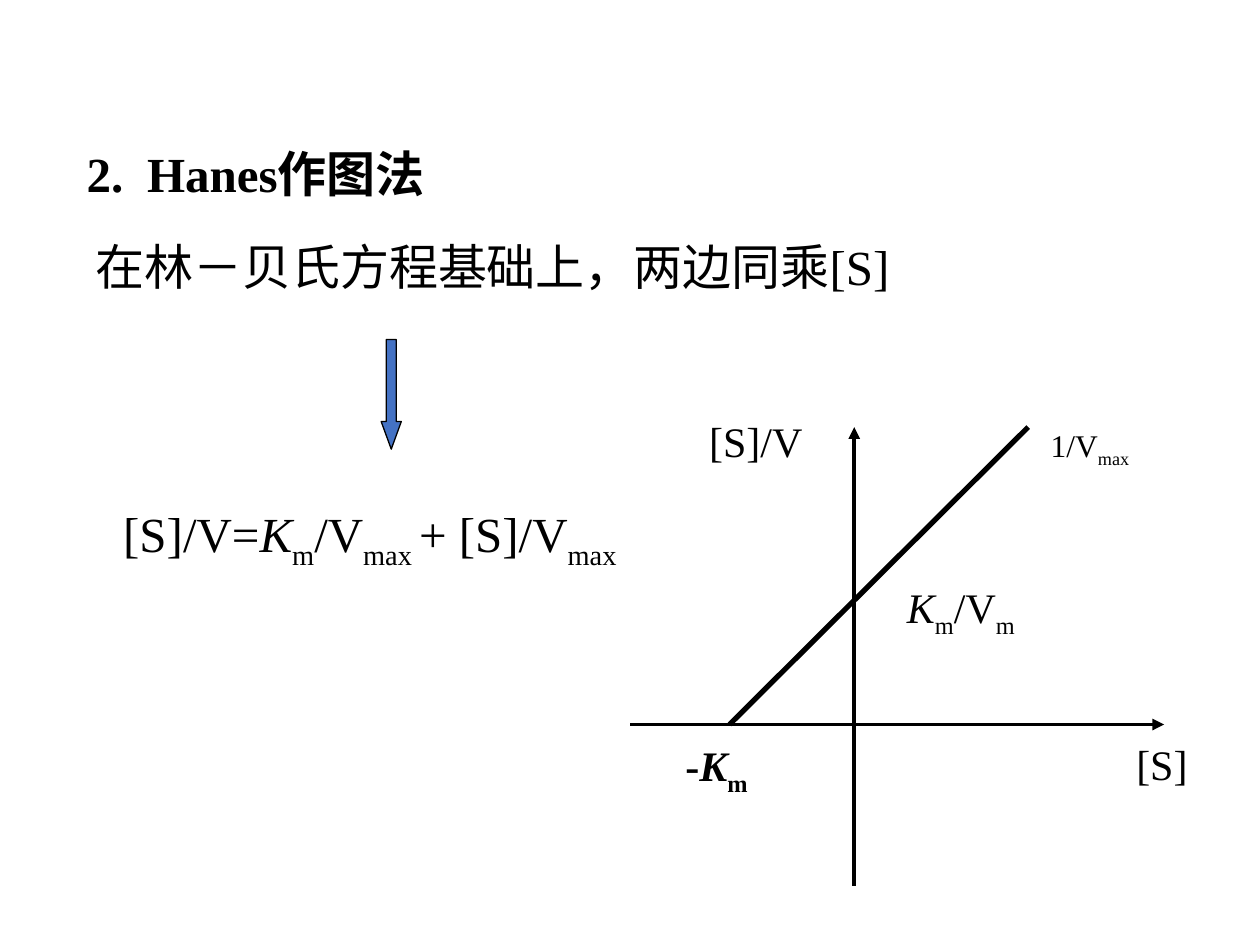
import pptx
import pptx.util
import pptx.dml.color
import pptx.enum.shapes
import pptx.enum.text
import lxml.etree
from pptx.util import Inches

THEME = {
    "font": "Times New Roman",
    "ink": pptx.dml.color.RGBColor(0x00, 0x00, 0x00),
    "accent": pptx.dml.color.RGBColor(0x44, 0x72, 0xC4),
    "body": 28,
    "label": 24,
    "small": 18,
}
DRAWING_NS = "{http://schemas.openxmlformats.org/drawingml/2006/main}"


def add_text(shapes, box, size, runs, wrap=False, bold=False):
    """Runs are (text, style) pairs; style is "", "italic" or "sub"."""
    frame = shapes.add_textbox(*[Inches(length) for length in box]).text_frame
    frame.word_wrap = wrap
    paragraph = frame.paragraphs[0]
    for text, style in runs:
        run = paragraph.add_run()
        run.text = text
        run.font.name = THEME["font"]
        run.font.size = pptx.util.Pt(THEME[size])
        run.font.color.rgb = THEME["ink"]
        run.font.bold = bold
        run.font.italic = style == "italic"
        if style == "sub":
            run._r.get_or_add_rPr().set("baseline", "-25000")
    return paragraph


def add_line(shapes, ends, width, arrow):
    line = shapes.add_connector(pptx.enum.shapes.MSO_CONNECTOR.STRAIGHT,
                                *[Inches(length) for length in ends])
    line.line.color.rgb = THEME["ink"]
    line.line.width = pptx.util.Pt(width)
    if arrow:
        lxml.etree.SubElement(line.line._get_or_add_ln(), DRAWING_NS + "tailEnd", type="triangle")
    lxml.etree.SubElement(line._element.spPr, DRAWING_NS + "effectLst")


deck = pptx.Presentation()
deck.slide_width, deck.slide_height = Inches(10), Inches(7.5)
slide = deck.slides.add_slide(deck.slide_layouts[6])

# Heading, with its number hanging before the tab
heading = add_text(slide.shapes, (0.59, 1, 4.26, 0.7), "body",
                   [("2.\tHanes作图法", "")], wrap=True, bold=True)
heading.line_spacing = 1.2
heading_indent = heading._p.get_or_add_pPr()
heading_indent.set("marL", str(Inches(0.48)))
heading_indent.set("indent", str(-Inches(0.48)))

# Derivation: premise, arrow, resulting equation
add_text(slide.shapes, (0.66, 1.83, 7.32, 0.57), "body",
         [("在林－贝氏方程基础上，两边同乘[S]", "")], wrap=True)

derivation = slide.shapes.add_shape(pptx.enum.shapes.MSO_SHAPE.RIGHT_ARROW,
                                    Inches(2.67), Inches(3.05), Inches(0.87), Inches(0.16))
derivation.rotation = 90
derivation.adjustments[1] = 1.37
derivation.shadow.inherit = False
derivation.fill.solid()
derivation.fill.fore_color.rgb = THEME["accent"]
derivation.line.color.rgb = THEME["ink"]
derivation.line.width = pptx.util.Pt(0.75)

add_text(slide.shapes, (0.88, 3.95, 4.5, 0.63), "body",
         [("[S]/V=", ""), ("K", "italic"), ("m", "sub"), ("/V", ""), ("max ", "sub"),
          ("+ [S]/V", ""), ("max", "sub")], wrap=True)

# Hanes plot: both axes, then the fitted line
plot = slide.shapes.add_group_shape().shapes
axis_y, axis_x, plot_top = 5.75, 6.78, 3.39
for ends, width, arrow in [
    ((5, axis_y, 9.24, axis_y), 2.25, True),
    ((axis_x, 7.03, axis_x, plot_top), 2.25, True),
    ((5.79, axis_y, 8.16, plot_top), 3, False),
]:
    add_line(plot, ends, width, arrow)

# Plot labels: axes, x intercept, y intercept, slope
for box, size, bold, runs in [
    ((8.92, 5.81, 0.86, 0.5), "label", False, [("[S]", "")]),
    ((5.53, 3.25, 1.19, 0.5), "label", False, [("[S]/V", "")]),
    ((5.34, 5.82, 0.79, 0.56), "label", True, [("-", ""), ("K", "italic"), ("m", "sub")]),
    ((7.1, 4.57, 1.2, 0.56), "label", False,
     [("K", "italic"), ("m", "sub"), ("/V", ""), ("m", "sub")]),
    ((8.24, 3.33, 0.86, 0.81), "small", False, [("1/V", ""), ("max", "sub")]),
]:
    add_text(plot, box, size, runs, bold=bold).alignment = pptx.enum.text.PP_ALIGN.LEFT

deck.save("out.pptx")
